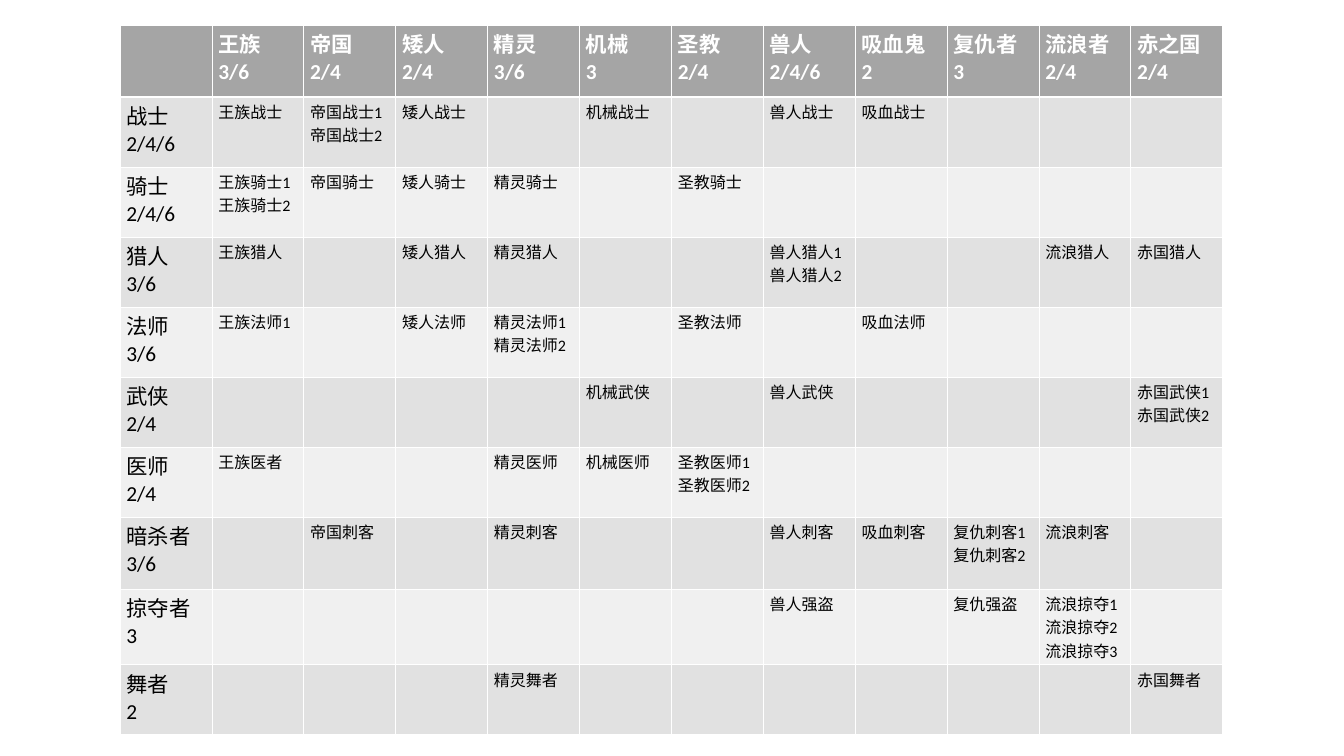
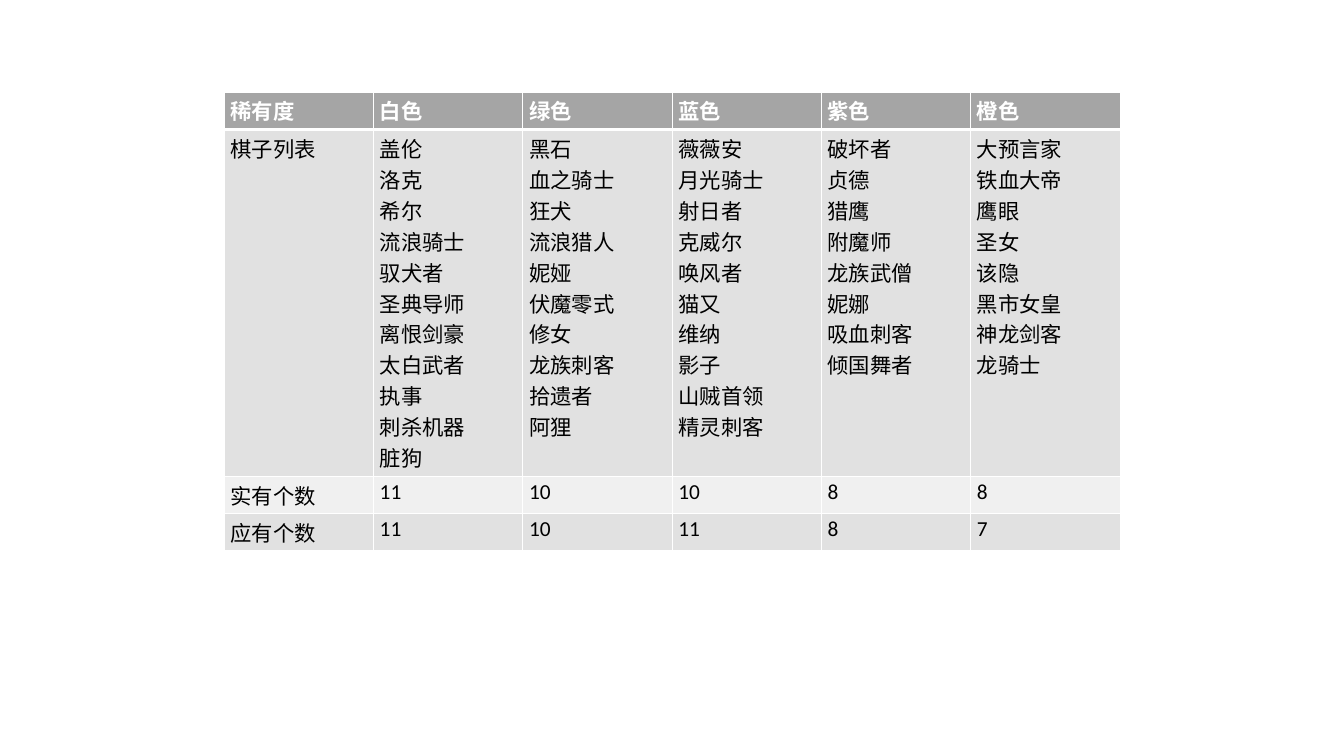
from lxml import etree
from pptx import Presentation
from pptx import util as u
from pptx.dml.color import RGBColor
from pptx.enum.lang import MSO_LANGUAGE_ID
from pptx.oxml import ns

EMU_PER_PX = 914400 / 64
BLANK_LAYOUT = 6
FONT = "Calibri"
WHITE = RGBColor(0xFF, 0xFF, 0xFF)
BLACK = RGBColor(0x00, 0x00, 0x00)
HEADER_GREY = RGBColor(0xA5, 0xA5, 0xA5)
BANDS = (RGBColor(0xE1, 0xE1, 0xE1), RGBColor(0xF0, 0xF0, 0xF0))
THIN, THICK = 1, 3

# Faction: prefix of its units, heading, bonus steps
FACTIONS = [
    ("王族", "王族", "3/6"),
    ("帝国", "帝国", "2/4"),
    ("矮人", "矮人", "2/4"),
    ("精灵", "精灵", "3/6"),
    ("机械", "机械", "3"),
    ("圣教", "圣教", "2/4"),
    ("兽人", "兽人", "2/4/6"),
    ("吸血", "吸血鬼", "2"),
    ("复仇", "复仇者", "3"),
    ("流浪", "流浪者", "2/4"),
    ("赤国", "赤之国", "2/4"),
]

# Class: name, bonus steps, units (each goes to the column of its prefix)
CLASSES = [
    ("战士", "2/4/6", "王族战士 帝国战士1 帝国战士2 矮人战士 机械战士 兽人战士 吸血战士"),
    ("骑士", "2/4/6", "王族骑士1 王族骑士2 帝国骑士 矮人骑士 精灵骑士 圣教骑士"),
    ("猎人", "3/6", "王族猎人 矮人猎人 精灵猎人 兽人猎人1 兽人猎人2 流浪猎人 赤国猎人"),
    ("法师", "3/6", "王族法师1 矮人法师 精灵法师1 精灵法师2 圣教法师 吸血法师"),
    ("武侠", "2/4", "机械武侠 兽人武侠 赤国武侠1 赤国武侠2"),
    ("医师", "2/4", "王族医者 精灵医师 机械医师 圣教医师1 圣教医师2"),
    ("暗杀者", "3/6", "帝国刺客 精灵刺客 兽人刺客 吸血刺客 复仇刺客1 复仇刺客2 流浪刺客"),
    ("掠夺者", "3", "兽人强盗 复仇强盗 流浪掠夺1 流浪掠夺2 流浪掠夺3"),
    ("舞者", "2", "精灵舞者 赤国舞者"),
]

# Rarity: colour, pieces, intended count
RARITIES = [
    ("白色", "盖伦 洛克 希尔 流浪骑士 驭犬者 圣典导师 离恨剑豪 太白武者 执事 刺杀机器 脏狗", 11),
    ("绿色", "黑石 血之骑士 狂犬 流浪猎人 妮娅 伏魔零式 修女 龙族刺客 拾遗者 阿狸", 10),
    ("蓝色", "薇薇安 月光骑士 射日者 克威尔 唤风者 猫又 维纳 影子 山贼首领 精灵刺客", 11),
    ("紫色", "破坏者 贞德 猎鹰 附魔师 龙族武僧 妮娜 吸血刺客 倾国舞者", 8),
    ("橙色", "大预言家 铁血大帝 鹰眼 圣女 该隐 黑市女皇 神龙剑客 龙骑士", 7),
]


def px(length):
    return u.Emu(round(length * EMU_PER_PX))


def write_lines(frame, lines, *, size=24, color=BLACK, bold=False):
    """Write each line as a paragraph of its own."""
    for index, line in enumerate(lines):
        paragraph = frame.add_paragraph() if index else frame.paragraphs[0]
        run = paragraph.add_run()
        run.text = line
        font = run.font
        font.name, font.size, font.bold = FONT, u.Pt(size), bold
        font.color.rgb = color
        font.language_id = MSO_LANGUAGE_ID.SIMPLIFIED_CHINESE


def set_borders(cell, *, top=THIN, bottom=THIN):
    properties = cell._tc.get_or_add_tcPr()
    for side, width in (("L", THIN), ("R", THIN), ("T", top), ("B", bottom)):
        line = etree.SubElement(properties, ns.qn(f"a:ln{side}"), w=str(u.Pt(width)))
        fill = etree.SubElement(line, ns.qn("a:solidFill"))
        etree.SubElement(fill, ns.qn("a:srgbClr"), val=str(WHITE))


def add_grid(slide, rows, heights, *, left, top, width, body_size):
    """Add a banded table; rows hold a list of lines for each cell."""
    table = slide.shapes.add_table(
        len(rows), len(rows[0]), px(left), px(top), px(width), px(sum(heights))
    ).table
    for r, (row, height) in enumerate(zip(rows, heights)):
        table.rows[r].height = px(height)
        header = r == 0
        for c, lines in enumerate(row):
            cell = table.cell(r, c)
            set_borders(cell, top=THICK if r == 1 else THIN,
                        bottom=THICK if header else THIN)
            cell.fill.solid()
            cell.fill.fore_color.rgb = HEADER_GREY if header else BANDS[(r - 1) % 2]
            write_lines(cell.text_frame, lines,
                        size=24 if header or c == 0 else body_size,
                        color=WHITE if header else BLACK, bold=header)


def add_class_slide(slide):
    rows = [[[]] + [[heading, bonus] for _, heading, bonus in FACTIONS]]
    for name, bonus, units in CLASSES:
        rows.append([[name, bonus]] + [
            [unit for unit in units.split() if unit.startswith(prefix)]
            for prefix, _, _ in FACTIONS
        ])
    heights = [72] + [70] * 6 + [72, 72, 70]
    add_grid(slide, rows, heights, left=120, top=25, width=1103, body_size=18)


def add_rarity_slide(slide):
    pieces = [names.split() for _, names, _ in RARITIES]
    rows = [
        [["稀有度"]] + [[color] for color, _, _ in RARITIES],
        [["棋子列表"]] + pieces,
        [["实有个数"]] + [[str(len(names))] for names in pieces],
        [["应有个数"]] + [[str(target)] for _, _, target in RARITIES],
    ]
    add_grid(slide, rows, [26, 303, 26, 26], left=224, top=92, width=896, body_size=24)


def main():
    deck = Presentation()
    deck.slide_width, deck.slide_height = px(1344), px(756)
    for build in (add_class_slide, add_rarity_slide):
        build(deck.slides.add_slide(deck.slide_layouts[BLANK_LAYOUT]))
    deck.save("out.pptx")


main()
